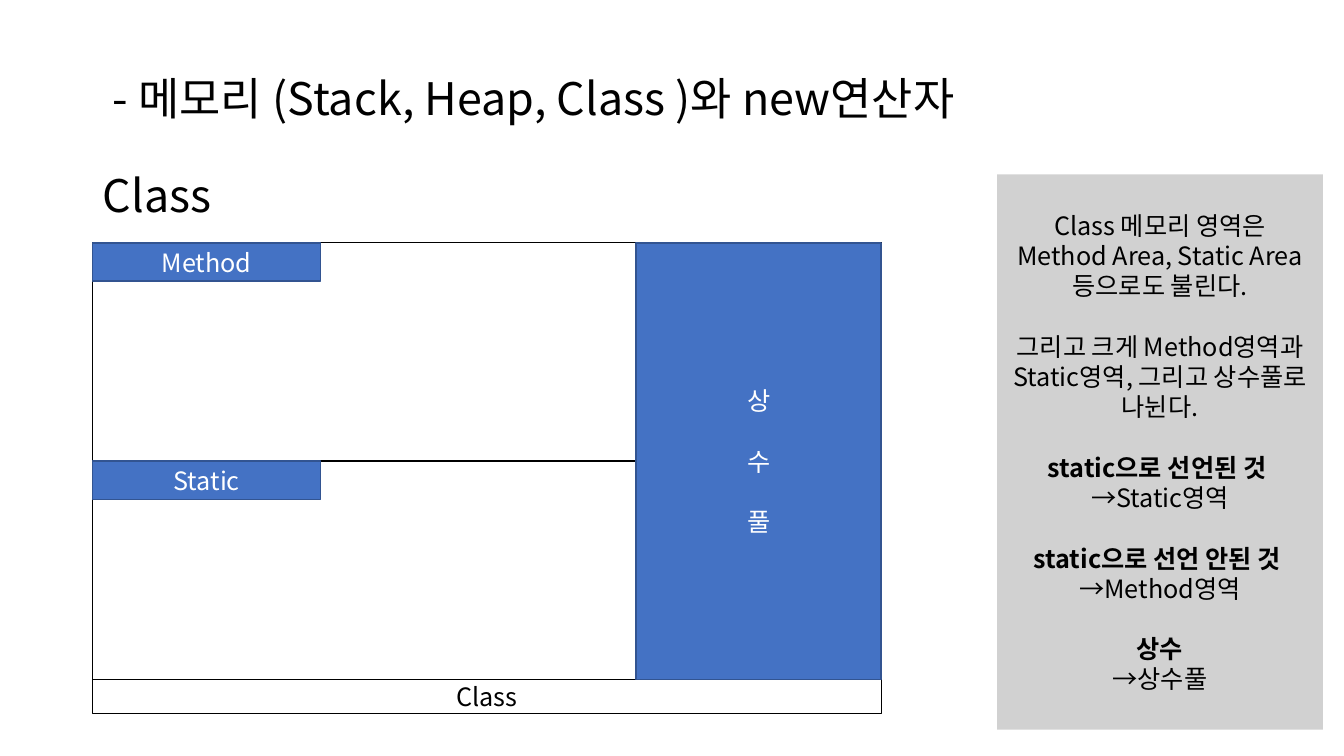
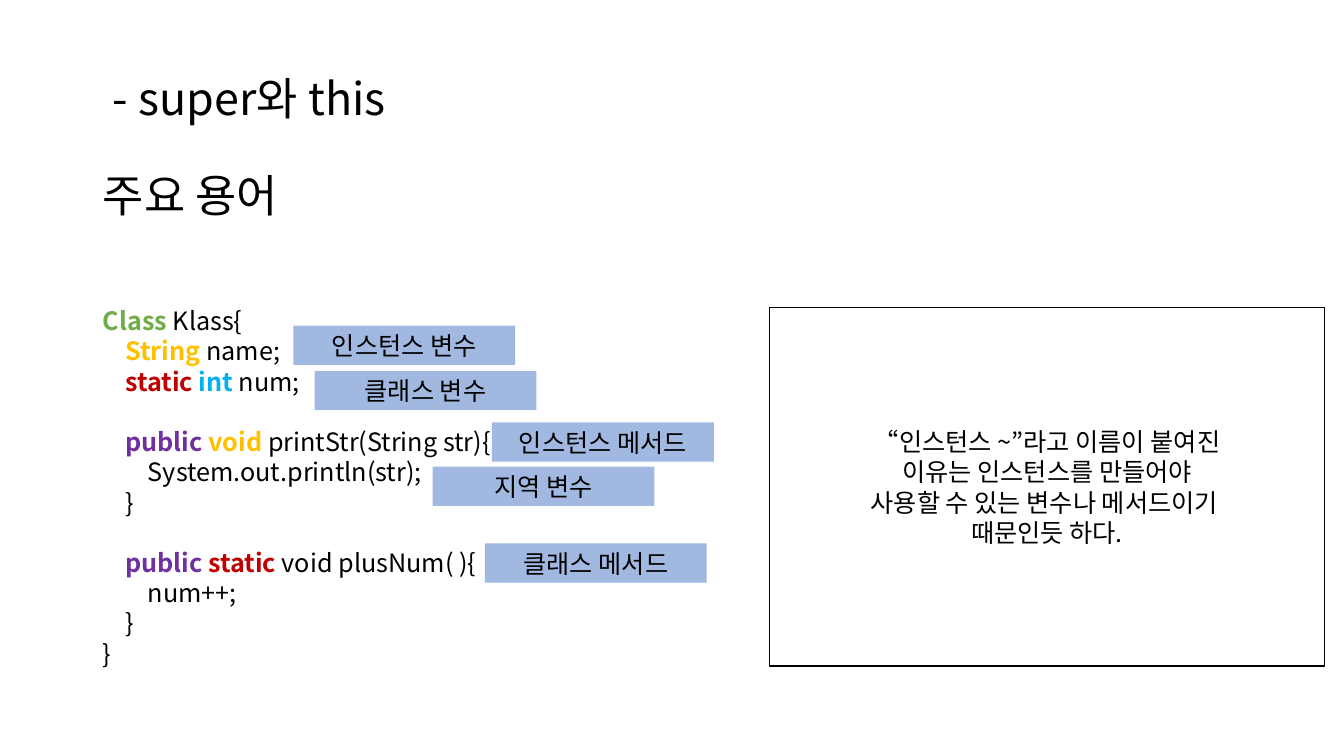
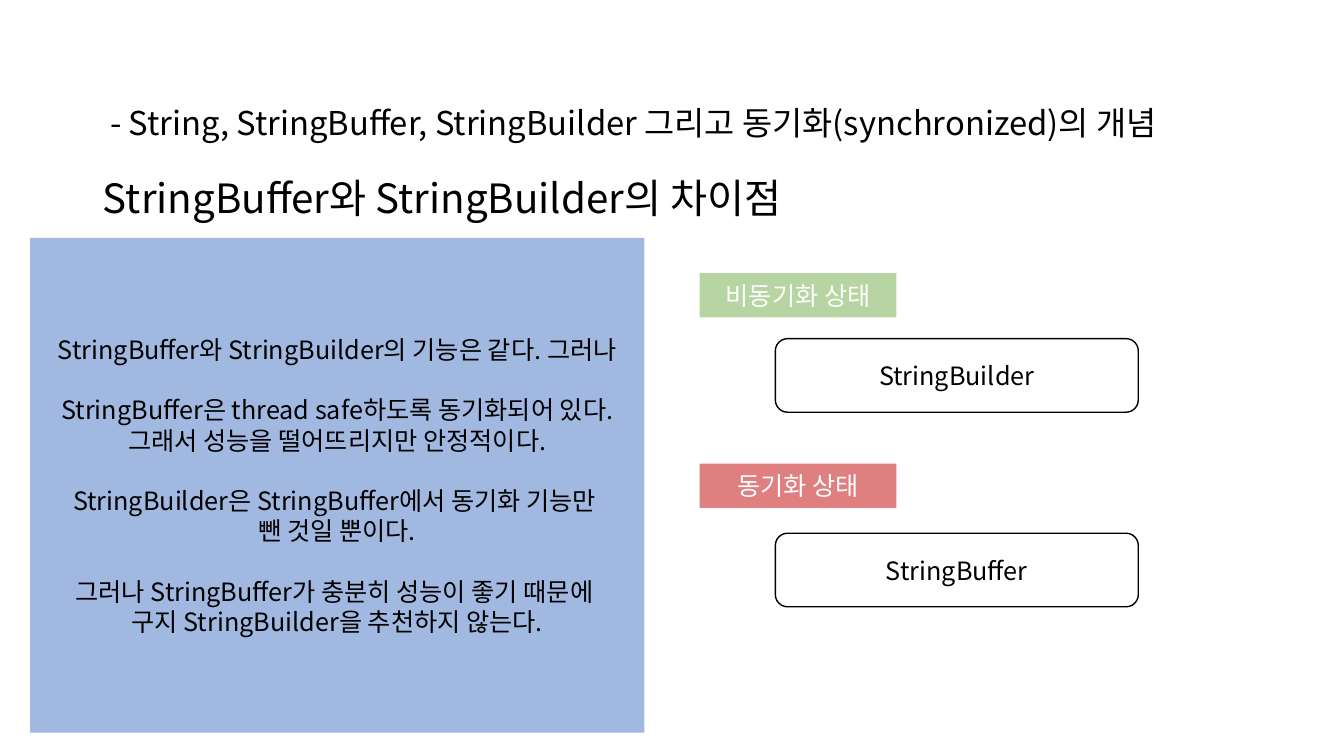
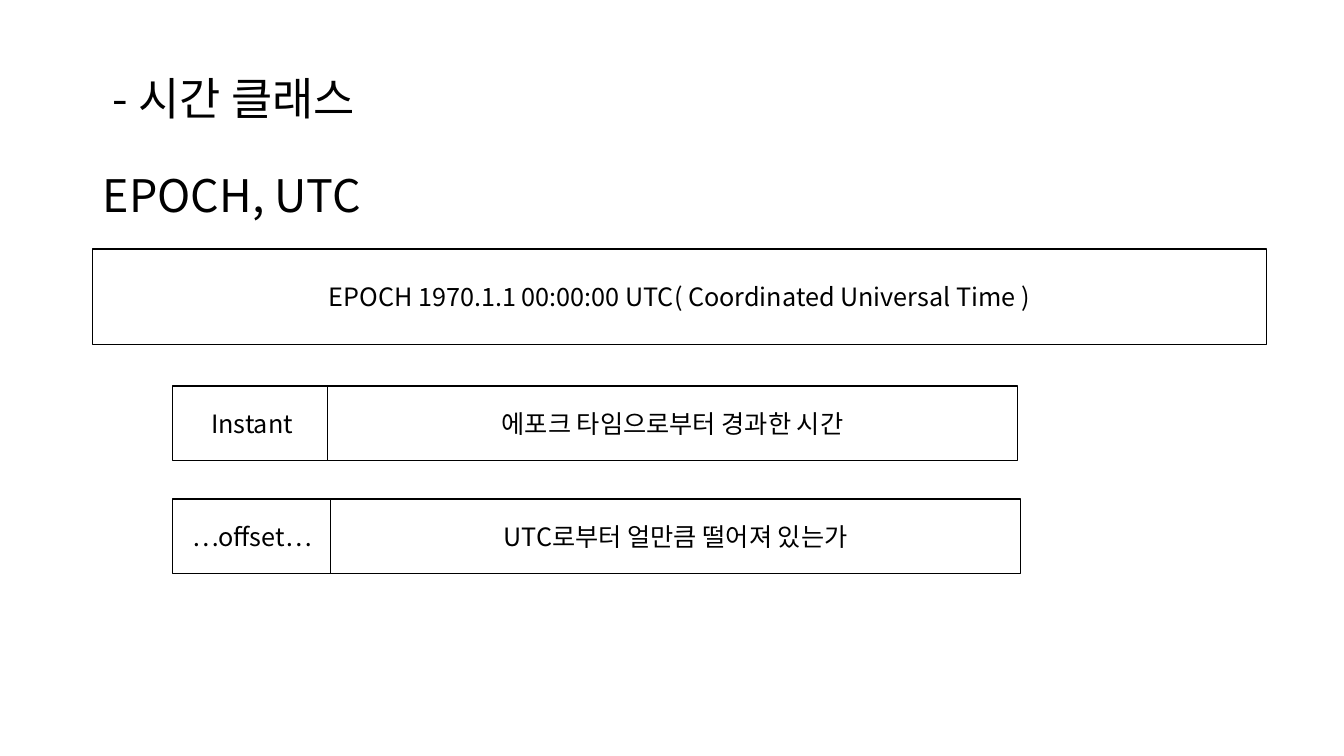
"""Build four study slides on Java memory, terms, strings and time."""
from pptx import Presentation
from pptx import util as u
from pptx.dml.color import RGBColor
from pptx.enum import shapes, text
from pptx.oxml import ns
from lxml import etree

Inches, Pt = u.Inches, u.Pt
RECTANGLE = shapes.MSO_SHAPE.RECTANGLE
ROUNDED = shapes.MSO_SHAPE.FLOWCHART_ALTERNATE_PROCESS


class Deck:
    """Hold the shared style and the current slide."""

    font = "Noto Sans CJK KR"
    body_size = 18
    line_pitch = 1.2
    colors = {
        "black": "000000", "white": "FFFFFF", "gray": "A5A5A5",
        "blue": "4472C4", "navy": "325491", "green": "70AD47",
        "gold": "FFC000", "red": "C00000", "sky": "00B0F0", "purple": "7030A0",
    }

    def __init__(self):
        """Start an empty widescreen presentation."""
        self.presentation = Presentation()
        self.presentation.slide_width = Inches(13.33)
        self.presentation.slide_height = Inches(7.5)
        self.slide = None

    def color(self, name):
        """Return a named colour."""
        return RGBColor.from_string(self.colors[name])

    def add_run(self, paragraph, words, size, color, bold=False):
        """Append one formatted run."""
        run = paragraph.add_run()
        run.text = words
        run.font.name = self.font
        run.font.size = Pt(size)
        run.font.bold = bold
        run.font.color.rgb = self.color(color)
        latin = run.font._element.find(ns.qn("a:latin"))
        east_asian = etree.Element(ns.qn("a:ea"), typeface=self.font)
        latin.addnext(east_asian)

    def add_text(self, frame, groups, color="black", align=text.PP_ALIGN.CENTER):
        """Add groups of paragraphs, one line apart."""
        frame.word_wrap = True
        frame.vertical_anchor = text.MSO_ANCHOR.MIDDLE
        paragraph = None
        for group in groups:
            for position, runs in enumerate(group):
                first = paragraph is None
                paragraph = frame.paragraphs[0] if first else frame.add_paragraph()
                paragraph.alignment = align
                if position == 0 and not first:
                    paragraph.space_before = Pt(self.body_size * self.line_pitch)
                for words, run_color, bold in [(runs, color, False)] if isinstance(runs, str) else runs:
                    self.add_run(paragraph, words, self.body_size, run_color, bold)

    def add_slide(self, topic, heading, topic_size=32, heading_size=32):
        """Add a slide with its topic and heading in the title."""
        self.slide = self.presentation.slides.add_slide(self.presentation.slide_layouts[5])
        title = self.slide.shapes.title
        title.left, title.top = Inches(0.92), Inches(0.5)
        title.width, title.height = Inches(10.78), Inches(1.75)
        frame = title.text_frame
        frame.word_wrap = True
        frame.auto_size = text.MSO_AUTO_SIZE.NONE
        frame.vertical_anchor = text.MSO_ANCHOR.BOTTOM
        lines = [(frame.paragraphs[0], topic, topic_size),
                 (frame.add_paragraph(), heading, heading_size)]
        for paragraph, words, size in lines:
            paragraph.alignment = text.PP_ALIGN.LEFT
            paragraph.line_spacing = 0.9
            self.add_run(paragraph, words, size, "black")
        paragraph.space_before = Pt(round(topic_size * self.line_pitch * 0.9, 1))

    def box(self, left, top, width, height, groups=(), fill=None, line=None,
            color="black", alpha=None, kind=RECTANGLE, weight=1):
        """Add a box with centred text."""
        shape = self.slide.shapes.add_shape(
            kind, Inches(left), Inches(top), Inches(width), Inches(height))
        shape.shadow.inherit = False
        if fill:
            shape.fill.solid()
            shape.fill.fore_color.rgb = self.color(fill)
        else:
            shape.fill.background()
        if alpha:
            solid = shape._element.spPr.find(ns.qn("a:solidFill"))
            etree.SubElement(solid[0], ns.qn("a:alpha"), val=str(alpha * 1000))
        if line:
            shape.line.color.rgb = self.color(line)
            shape.line.width = Pt(weight)
        else:
            shape.line.fill.background()
        self.add_text(shape.text_frame, groups, color)
        return shape

    def outlined(self, left, top, width, height, groups, kind=RECTANGLE):
        """Add a white box with a black outline."""
        return self.box(left, top, width, height, groups, "white", "black", kind=kind)

    def tint(self, left, top, width, height, groups, fill="blue", color="black"):
        """Add a half-transparent box."""
        return self.box(left, top, width, height, groups, fill, color=color, alpha=50)

    def area(self, left, top, width, height, groups):
        """Add a solid blue memory area."""
        return self.box(left, top, width, height, groups, "blue", "navy", "white")

    def divider(self, shape):
        """Join the left and right sides of a box with a line."""
        middle = shape.top + shape.height // 2
        connector = self.slide.shapes.add_connector(
            shapes.MSO_CONNECTOR.STRAIGHT, shape.left, middle,
            shape.left + shape.width, middle)
        connector.begin_connect(shape, 1)
        connector.end_connect(shape, 3)
        connector.line.color.rgb = self.color("black")
        connector.line.width = Pt(1)
        etree.SubElement(connector._element.spPr, ns.qn("a:effectLst"))

    def code(self, left, top, width, height, groups):
        """Add a left-aligned code listing."""
        shape = self.slide.shapes.add_textbox(
            Inches(left), Inches(top), Inches(width), Inches(height))
        self.add_text(shape.text_frame, groups, align=text.PP_ALIGN.LEFT)


def bold(words):
    """Return a paragraph of one bold run."""
    return [(words, "black", True)]


def memory_slide(deck):
    """Show the parts of class memory."""
    deck.add_slide(" - 메모리 (Stack, Heap, Class )와 new연산자", "Class")
    left, top, width, height = 0.92, 2.41, 7.82, 4.33
    memory = deck.box(left, top, width, height, line="black", weight=0.75)
    deck.box(left, top + height, width, 0.34, [["Class"]], line="black", weight=0.75)
    deck.tint(9.89, 1.73, 3.23, 5.51, [
        ["Class 메모리 영역은", "Method Area, Static Area 등으로도 불린다."],
        ["그리고 크게 Method영역과 Static영역, 그리고 상수풀로 나뉜다."],
        [bold("static으로 선언된 것 "), "→Static영역"],
        [bold("static으로 선언 안된 것 "), "→Method영역"],
        [bold("상수"), "→상수풀"],
    ], "gray")
    deck.divider(memory)
    for row, name in enumerate(["Method", "Static"]):
        deck.area(left, top + row * height / 2, 2.26, 0.38, [[name]])
    pool_width = 2.43
    deck.area(left + width - pool_width, top, pool_width, height, [["상"], ["수"], ["풀"]])


def terms_slide(deck):
    """Label the members of a class listing."""
    deck.add_slide(" - super와 this", "주요 용어")
    indent = ("    ", "black", False)
    public = ("public ", "purple", True)
    deck.code(0.92, 2.88, 5.19, 3.9, [
        [
            [("Class ", "green", True), ("Klass{", "black", False)],
            [indent, ("String", "gold", True), (" name;", "black", False)],
            [indent, ("static ", "red", True), ("int", "sky", True), (" num;", "black", False)],
        ],
        [
            [indent, public, ("void ", "gold", True), ("printStr(String str){", "black", False)],
            "        System.out.println(str);",
            "    }",
        ],
        [
            [indent, public, ("static", "red", True), (" void plusNum( ){", "black", False)],
            "        num++;",
            "    }",
            "}",
        ],
    ])
    labels = [
        (2.91, 3.23, "인스턴스 변수"), (3.12, 3.68, "클래스 변수"),
        (4.88, 4.19, "인스턴스 메서드"), (4.29, 4.63, "지역 변수"),
        (4.81, 5.39, "클래스 메서드"),
    ]
    for left, top, name in labels:
        deck.tint(left, top, 2.2, 0.39, [[name]])
    deck.outlined(7.63, 3.05, 5.51, 3.56, [[
        "“인스턴스 ~”라고 이름이 붙여진", "이유는 인스턴스를 만들어야",
        "사용할 수 있는 변수나 메서드이기 ", "때문인듯 하다.",
    ]])


def string_slide(deck):
    """Compare the two string helpers."""
    deck.add_slide(" - String, StringBuffer, StringBuilder 그리고 동기화(synchronized)의 개념",
                   "StringBuffer와 StringBuilder의 차이점", 23.4, 28.8)
    deck.tint(0.3, 2.36, 6.09, 4.91, [
        ["StringBuffer와 StringBuilder의 기능은 같다. 그러나"],
        ["StringBuffer은 thread safe하도록 동기화되어 있다. 그래서 성능을 떨어뜨리지만 안정적이다."],
        ["StringBuilder은 StringBuffer에서 동기화 기능만 ", "뺀 것일 뿐이다."],
        ["그러나 StringBuffer가 충분히 성능이 좋기 때문에 ", "구지 StringBuilder을 추천하지 않는다."],
    ])
    states = [
        (2.71, 3.36, "비동기화 상태", "green", "StringBuilder"),
        (4.6, 5.29, "동기화 상태", "red", "StringBuffer"),
    ]
    for state_top, class_top, state, fill, name in states:
        deck.tint(6.94, state_top, 1.95, 0.44, [[state]], fill, "white")
        deck.outlined(7.69, class_top, 3.6, 0.73, [[name]], ROUNDED)


def time_slide(deck):
    """Explain epoch and offset."""
    deck.add_slide(" - 시간 클래스", "EPOCH, UTC")
    deck.outlined(0.92, 2.47, 11.64, 0.95,
                  [["EPOCH 1970.1.1 00:00:00 UTC( Coordinated Universal Time )"]])
    terms = [
        (3.83, 3.25, "Instant", "에포크 타임으로부터 경과한 시간"),
        (4.95, 3.28, "…offset…", "UTC로부터 얼만큼 떨어져 있는가"),
    ]
    for top, meaning_left, term, meaning in terms:
        deck.outlined(1.71, top, 1.58, 0.74, [[term]])
        deck.outlined(meaning_left, top, 6.84, 0.74, [[meaning]])


def main():
    """Build and save the presentation."""
    deck = Deck()
    for build in (memory_slide, terms_slide, string_slide, time_slide):
        build(deck)
    deck.presentation.save("out.pptx")


if __name__ == "__main__":
    main()
